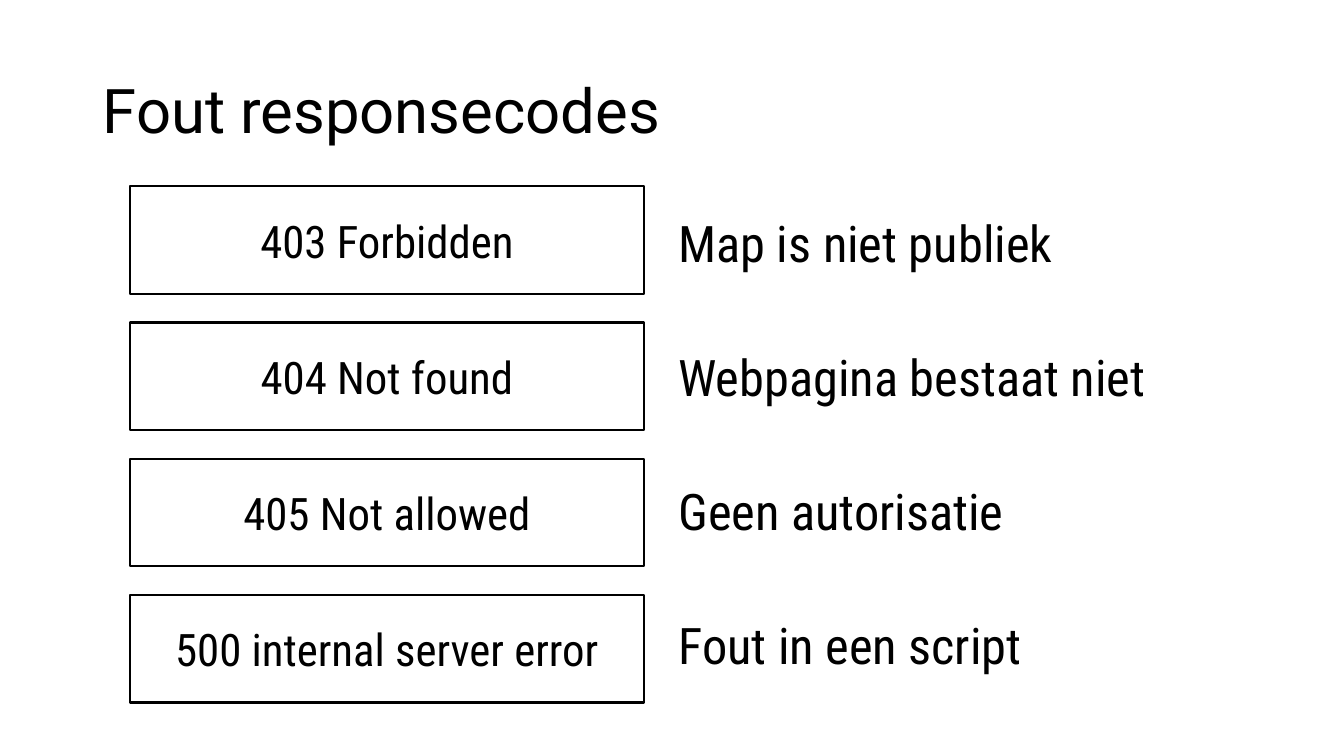
from dataclasses import dataclass

from pptx import Presentation
from pptx.dml.color import RGBColor
from pptx.enum.shapes import MSO_SHAPE as Preset
from pptx.enum.text import MSO_ANCHOR as Anchor, PP_ALIGN as Align
from pptx.util import Inches, Pt


@dataclass(frozen=True)
class Theme:
    ink: RGBColor = RGBColor(0, 0, 0)
    paper: RGBColor = RGBColor(255, 255, 255)
    title_font: str = "Roboto"
    body_font: str = "Roboto Condensed"
    title_size: float = 44
    code_size: float = 32
    meaning_size: float = 36
    outline: float = 1.5


@dataclass(frozen=True)
class Area:
    left: float
    top: float
    width: float
    height: float

    def down(self, distance: float) -> "Area":
        return Area(self.left, self.top + distance, self.width, self.height)

    def lengths(self) -> list[int]:
        return [Inches(value) for value in (self.left, self.top, self.width, self.height)]


@dataclass(frozen=True)
class ResponseCode:
    code: str
    meaning: str


THEME = Theme()

# Grid: first row of each column, and the step from row to row
TITLE = Area(0.92, 0.4, 11.5, 1.45)
CODE = Area(1.29, 1.85, 5.1, 1.07)
MEANING = Area(6.63, 2.09, 5.34, 0.63)
CODE_STEP = 1.35
MEANING_STEP = 1.33

RESPONSE_CODES = [
    ResponseCode("403 Forbidden", "Map is niet publiek"),
    ResponseCode("404 Not found", "Webpagina bestaat niet"),
    ResponseCode("405 Not allowed", "Geen autorisatie"),
    ResponseCode("500 internal server error", "Fout in een script"),
]


def write(shape, text: str, font: str, size: float, align: Align = Align.LEFT,
          spacing: float = 1.0) -> None:
    frame = shape.text_frame
    frame.text = text
    frame.word_wrap = True
    frame.vertical_anchor = Anchor.MIDDLE
    para = frame.paragraphs[0]
    para.alignment = align
    para.line_spacing = spacing
    span = para.runs[0]
    span.font.name = font
    span.font.size = Pt(size)
    span.font.color.rgb = THEME.ink


def add_code(page, area: Area, text: str) -> None:
    box = page.shapes.add_shape(Preset.RECTANGLE, *area.lengths())
    box.shadow.inherit = False
    box.fill.solid()
    box.fill.fore_color.rgb = THEME.paper
    box.line.color.rgb = THEME.ink
    box.line.width = Pt(THEME.outline)
    write(box, text, THEME.body_font, THEME.code_size, Align.CENTER)


def add_meaning(page, area: Area, text: str) -> None:
    box = page.shapes.add_textbox(*area.lengths())
    write(box, text, THEME.body_font, THEME.meaning_size)


def add_title(page, text: str) -> None:
    box = page.shapes.add_textbox(*TITLE.lengths())
    write(box, text, THEME.title_font, THEME.title_size, spacing=0.9)


def main() -> None:
    deck = Presentation()
    deck.slide_width, deck.slide_height = Inches(13.33), Inches(7.5)
    page = deck.slides.add_slide(deck.slide_layouts[6])

    # Heading
    add_title(page, "Fout responsecodes")

    # One row per response code
    for row, response in enumerate(RESPONSE_CODES):
        add_code(page, CODE.down(row * CODE_STEP), response.code)
        add_meaning(page, MEANING.down(row * MEANING_STEP), response.meaning)

    deck.save("out.pptx")


if __name__ == "__main__":
    main()
